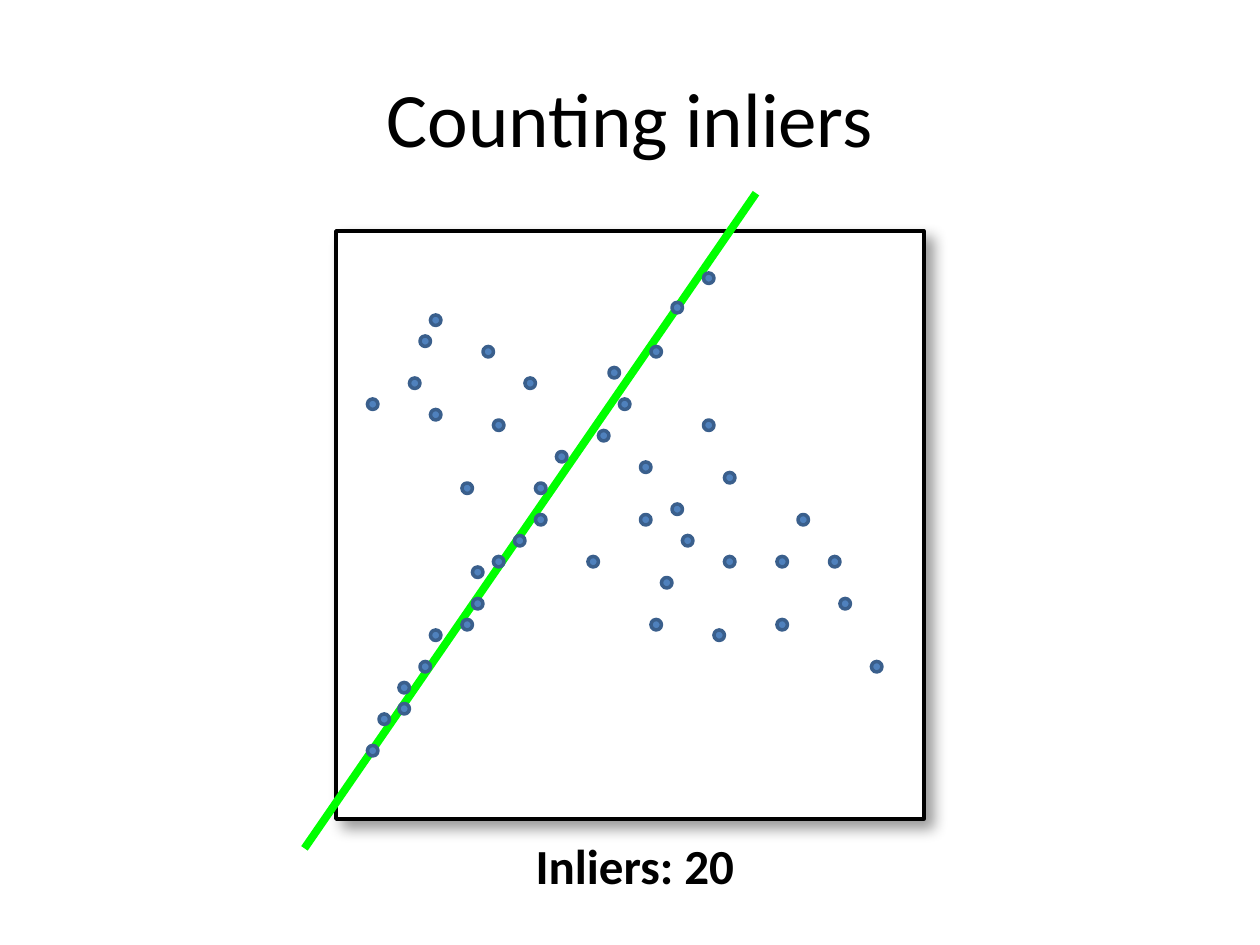
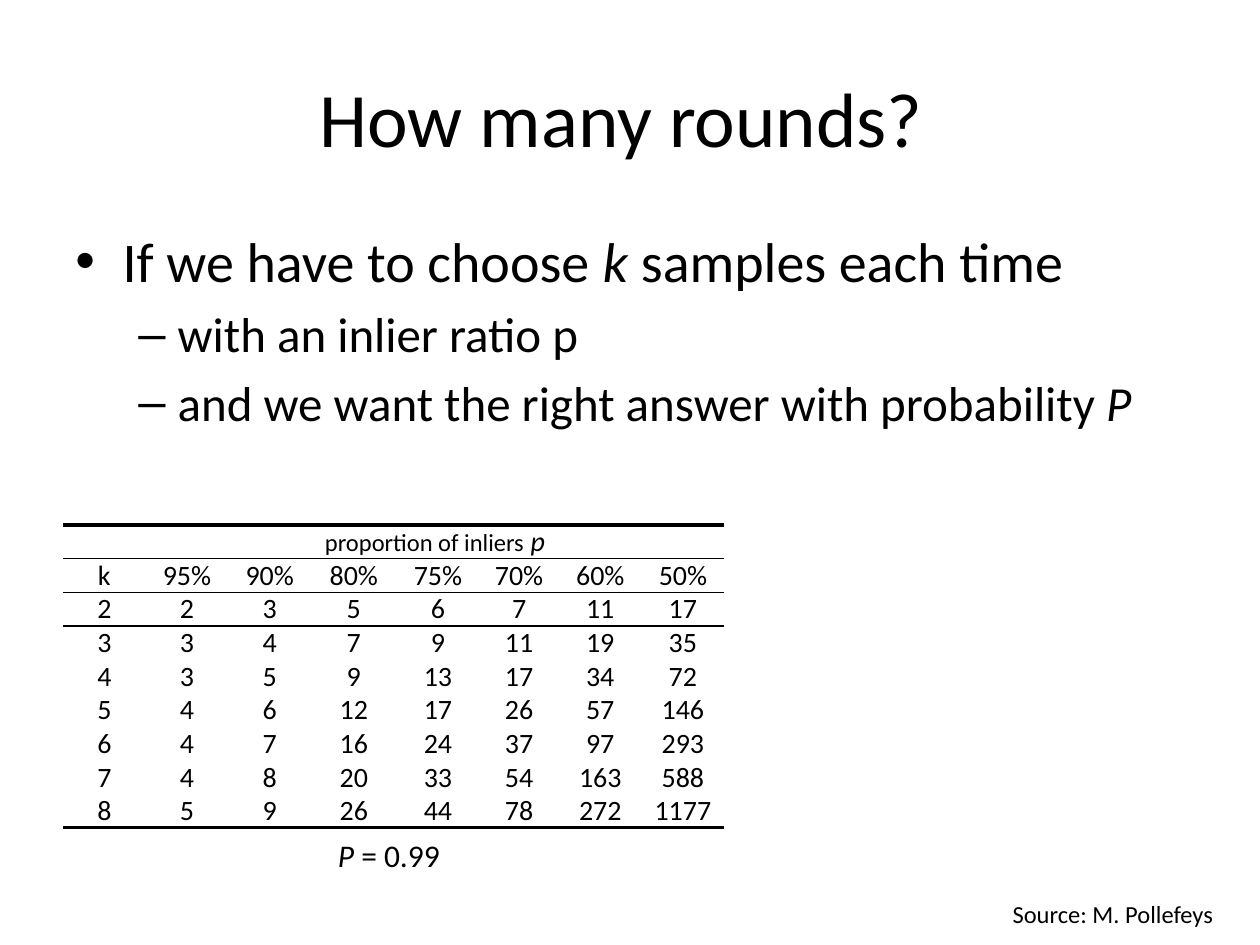
from lxml import etree
from pptx import Presentation
from pptx.dml.color import RGBColor as RGB
from pptx.enum.shapes import MSO_CONNECTOR as CONN, MSO_SHAPE as SHAPE
from pptx.enum.text import MSO_ANCHOR as ANCHOR, MSO_AUTO_SIZE as AUTO, PP_ALIGN as ALIGN
from pptx.oxml.ns import qn
from pptx.util import Pt

FONT = "Calibri"
COLORS = {"text": "000000", "paper": "FFFFFF", "fit": "00FF00",
          "dot": "4F81BD", "dot_edge": "3A5F8C"}
NO_STYLE = "{2D5ABB26-0587-4C30-8999-92F81FD0307C}"

GRID = 6
INLIERS = [
    (45, 57), (47, 53), (41, 60), (44, 59), (40, 63), (38, 65), (36.1, 68),
    (35, 71), (38, 67), (45, 54), (49, 51), (51, 49), (51, 46), (53, 43),
    (57, 41), (59, 38), (58, 35), (62, 33), (64, 28.8), (67, 26)]
OUTLIERS = [
    (69, 53), (63, 55), (61, 49), (65, 51), (64, 48), (69, 45), (67, 40),
    (61, 44), (56, 53), (62, 59), (68, 60), (74, 59), (80, 57), (79, 53),
    (74, 53), (76, 49), (83, 63), (50, 36), (47, 40), (41, 39), (44, 46),
    (46, 33), (40, 32), (35, 38), (39, 36), (41, 30)]

ROUNDS = [
    ["k", "95%", "90%", "80%", "75%", "70%", "60%", "50%"],
    [2, 2, 3, 5, 6, 7, 11, 17],
    [3, 3, 4, 7, 9, 11, 19, 35],
    [4, 3, 5, 9, 13, 17, 34, 72],
    [5, 4, 6, 12, 17, 26, 57, 146],
    [6, 4, 7, 16, 24, 37, 97, 293],
    [7, 4, 8, 20, 33, 54, 163, 588],
    [8, 5, 9, 26, 44, 78, 272, 1177]]
COLUMN_WIDTHS = [47.25] * 3 + [49, 47.25, 45.5] + [47.25] * 2
RULES = {0: 2.25, 1: 1, 2: 1, 9: 2.25}


def color(name):
    """Return a palette colour."""
    return RGB.from_string(COLORS[name])


def add_run(p, text, size, bold=False, italic=False):
    """Append one formatted run to a paragraph."""
    r = p.add_run()
    r.text = text
    r.font.name, r.font.size = FONT, Pt(size)
    r.font.bold, r.font.italic = bold, italic
    r.font.color.rgb = color("text")


def add_slide(prs, title):
    """Add a title-only slide with a centred title."""
    s = prs.slides.add_slide(prs.slide_layouts[5])
    sp = s.shapes.title
    sp.left, sp.top, sp.width, sp.height = Pt(36), Pt(21.6), Pt(648), Pt(90)
    sp.text_frame.vertical_anchor = ANCHOR.MIDDLE
    p = sp.text_frame.paragraphs[0]
    p.alignment = ALIGN.CENTER
    add_run(p, title, 44)
    return s


def add_shape(s, kind, left, top, size, fill, line):
    """Add a square-proportioned preset shape with a 2 pt outline."""
    sp = s.shapes.add_shape(kind, Pt(left), Pt(top), Pt(size), Pt(size))
    sp.shadow.inherit = False
    sp.fill.solid()
    sp.fill.fore_color.rgb = color(fill)
    sp.line.color.rgb = color(line)
    sp.line.width = Pt(2)
    return sp


def add_shadow(sp):
    """Give a shape a soft shadow to the lower right."""
    effects = sp._element.spPr.find(qn("a:effectLst"))
    shadow = etree.SubElement(effects, qn("a:outerShdw"), blurRad=str(Pt(8)),
                              dist=str(Pt(6)), dir="2700000", algn="tl", rotWithShape="0")
    tint = etree.SubElement(shadow, qn("a:srgbClr"), val=COLORS["text"])
    etree.SubElement(tint, qn("a:alpha"), val="40000")


def add_line(s, x1, y1, x2, y2, name, width):
    """Add a straight line without a shadow."""
    line = s.shapes.add_connector(CONN.STRAIGHT, Pt(x1), Pt(y1), Pt(x2), Pt(y2))
    line.line.color.rgb = color(name)
    line.line.width = Pt(width)
    etree.SubElement(line._element.spPr, qn("a:effectLst"))


def add_label(s, left, top, width, height, size, runs):
    """Add a one-line label from (text, style) runs."""
    sp = s.shapes.add_textbox(Pt(left), Pt(top), Pt(width), Pt(height))
    tf = sp.text_frame
    tf.word_wrap = False
    tf.auto_size = AUTO.SHAPE_TO_FIT_TEXT
    for text, style in runs:
        add_run(tf.paragraphs[0], text, size, **style)


def add_bullets(s, left, top, width, height, items):
    """Add bulleted paragraphs at two levels."""
    tf = s.shapes.add_textbox(Pt(left), Pt(top), Pt(width), Pt(height)).text_frame
    tf.word_wrap = True
    levels = [("•", 27, 27, 32), ("–", 58.5, 22.5, 28)]
    for i, (level, runs) in enumerate(items):
        p = tf.add_paragraph() if i else tf.paragraphs[0]
        mark, margin, hanging, size = levels[level]
        p.level = level
        if i:
            p.space_before = Pt(size * 0.2)
        pPr = p._p.get_or_add_pPr()
        pPr.set("marL", str(Pt(margin)))
        pPr.set("indent", str(-Pt(hanging)))
        etree.SubElement(pPr, qn("a:buFont"), typeface="Arial")
        etree.SubElement(pPr, qn("a:buChar"), char=mark)
        for text, italic in runs:
            add_run(p, text, size, italic=italic)


def set_border(cell, tag, width):
    """Draw one horizontal border of a cell, if it has a width."""
    if width:
        ln = etree.Element(qn(tag), w=str(Pt(width)))
        fill = etree.SubElement(ln, qn("a:solidFill"))
        etree.SubElement(fill, qn("a:srgbClr"), val=COLORS["text"])
        cell._tc.get_or_add_tcPr().insert(0, ln)


def add_rounds_table(s, left, top, row_height):
    """Add the table of rounds by sample size and inlier proportion."""
    n_rows, n_cols = len(ROUNDS) + 1, len(COLUMN_WIDTHS)
    table = s.shapes.add_table(n_rows, n_cols, Pt(left), Pt(top),
                               Pt(sum(COLUMN_WIDTHS)), Pt(row_height * n_rows)).table
    table.first_row = table.horz_banding = False
    table._tbl.tblPr.find(qn("a:tableStyleId")).text = NO_STYLE
    for column, width in zip(table.columns, COLUMN_WIDTHS):
        column.width = Pt(width)
    for r in range(n_rows):
        table.rows[r].height = Pt(row_height)
        for c in range(n_cols):
            cell = table.cell(r, c)
            cell.margin_left = cell.margin_right = Pt(3.6)
            cell.margin_top = cell.margin_bottom = 0
            cell.fill.background()
            set_border(cell, "a:lnB", RULES.get(r + 1))
            set_border(cell, "a:lnT", RULES.get(r))
            p = cell.text_frame.paragraphs[0]
            p.alignment = ALIGN.CENTER
            if r:
                add_run(p, str(ROUNDS[r - 1][c]), 16)
            else:
                etree.SubElement(p._p, qn("a:endParaRPr"), sz="1600")
    heading = table.cell(0, 1)
    heading.merge(table.cell(0, n_cols - 1))
    p = heading.text_frame.paragraphs[0]
    add_run(p, "proportion of inliers", 14)
    add_run(p, " ", 16)
    add_run(p, "p", 16, italic=True)


def build_inliers(prs):
    """Build the scatter of points with the fitted line."""
    s = add_slide(prs, "Counting inliers")
    add_shadow(add_shape(s, SHAPE.RECTANGLE, 192, 132, 336, "paper", "text"))
    add_line(s, 174, 484.8, 432, 110.4, "fit", 4.5)
    for x, y in INLIERS + OUTLIERS:
        add_shape(s, SHAPE.OVAL, x * GRID, y * GRID, GRID, "dot", "dot_edge")
    add_label(s, 299, 474, 130, 41, 28, [(f"Inliers: {len(INLIERS)}", {"bold": True})])


def build_rounds(prs):
    """Build the question about the number of rounds with its table."""
    s = add_slide(prs, "How many rounds? ")
    add_bullets(s, 36, 126, 648, 356, [
        (0, [("If we have to choose ", False), ("k", True), (" samples each time", False)]),
        (1, [("with an inlier ratio p", False)]),
        (1, [("and we want the right answer with probability ", False), ("P", True)])])
    add_rounds_table(s, 36, 300, 19.2)
    add_label(s, 571.5, 510, 142.5, 24, 14, [("Source: M. Pollefeys", {})])
    add_label(s, 186, 474, 78, 29, 18, [("P ", {"italic": True}), ("= 0.99", {})])


def main():
    """Build and save the presentation."""
    prs = Presentation()
    prs.slide_width, prs.slide_height = Pt(720), Pt(540)
    build_inliers(prs)
    build_rounds(prs)
    prs.save("out.pptx")


if __name__ == "__main__":
    main()
